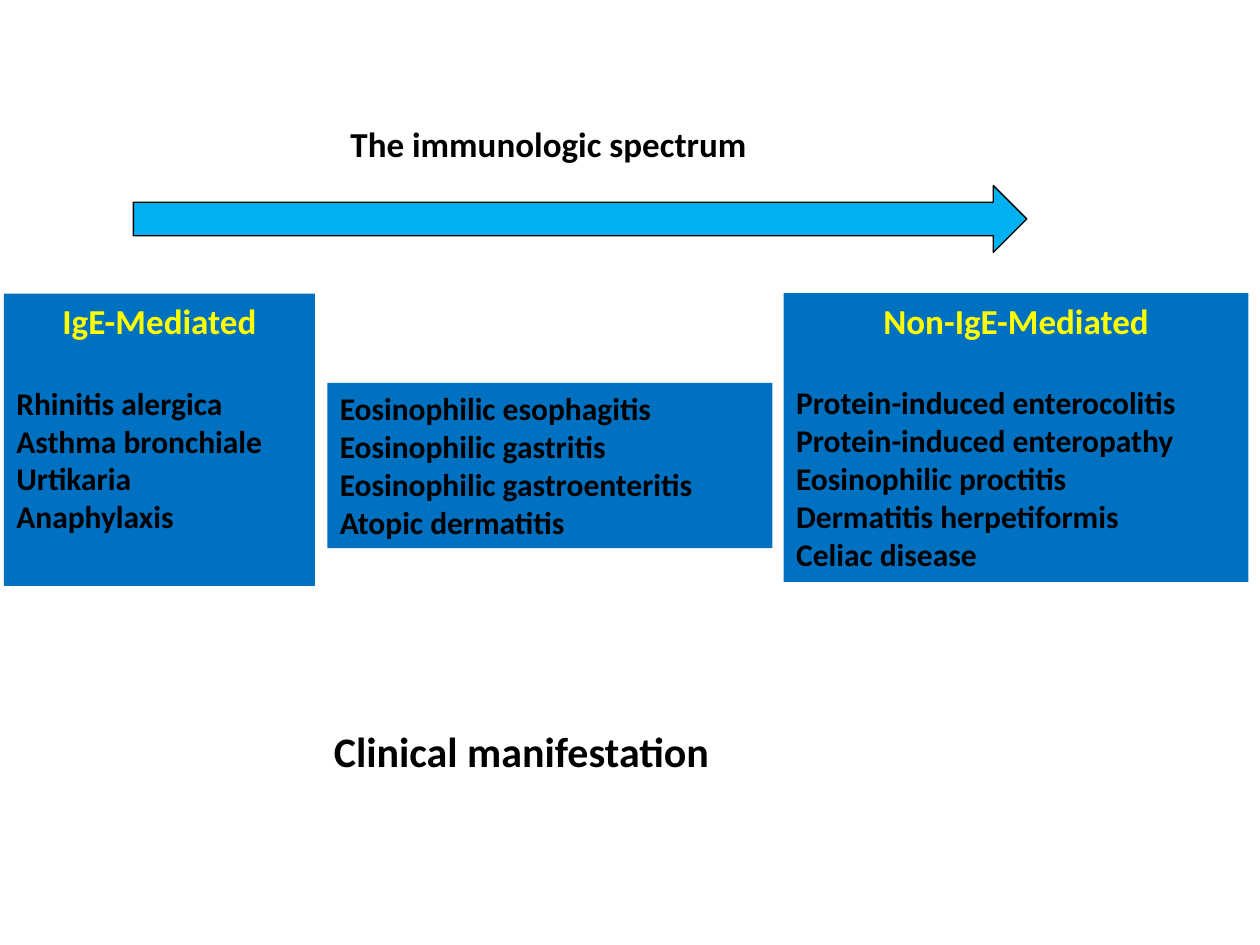
import pptx
import pptx.dml.color
import pptx.enum.shapes
import pptx.enum.text
import pptx.util

Cm = pptx.util.Cm
Pt = pptx.util.Pt
ALIGN = pptx.enum.text.PP_ALIGN
SHAPE = pptx.enum.shapes.MSO_SHAPE

COLORS = {
    "panel": "0070C0",
    "arrow": "00B0F0",
    "heading": "FFFF00",
    "text": "000000",
}


def rgb(name):
    return pptx.dml.color.RGBColor.from_string(COLORS[name])


def add_text(p, text, size, color="text", align=ALIGN.LEFT):
    p.alignment = align
    r = p.add_run()
    r.text = text
    r.font.name = "Calibri"
    r.font.size = Pt(size)
    r.font.bold = True
    r.font.color.rgb = rgb(color)


def prepare_frame(sp):
    tf = sp.text_frame
    tf.word_wrap = True
    tf.auto_size = pptx.enum.text.MSO_AUTO_SIZE.NONE
    tf.vertical_anchor = pptx.enum.text.MSO_ANCHOR.TOP
    return tf


def add_panel(slide, box, items, heading=None):
    sp = slide.shapes.add_shape(SHAPE.RECTANGLE, *map(Cm, box))
    sp.shadow.inherit = False
    sp.fill.solid()
    sp.fill.fore_color.rgb = rgb("panel")
    sp.line.fill.background()
    tf = prepare_frame(sp)
    p = tf.paragraphs[0]
    if heading:
        add_text(p, heading, 20, "heading", ALIGN.CENTER)
        p.space_after = Pt(24)
        p = tf.add_paragraph()
    add_text(p, items[0], 18)
    for item in items[1:]:
        add_text(tf.add_paragraph(), item, 18)


def add_spectrum_arrow(slide, box):
    sp = slide.shapes.add_shape(SHAPE.RIGHT_ARROW, *map(Cm, box))
    sp.shadow.inherit = False
    sp.fill.solid()
    sp.fill.fore_color.rgb = rgb("arrow")
    sp.line.color.rgb = rgb("text")
    sp.line.width = Pt(0.75)


def set_title(slide, box, text):
    sp = slide.shapes.title
    sp.left, sp.top, sp.width, sp.height = map(Cm, box)
    add_text(prepare_frame(sp).paragraphs[0], text, 20)


def add_caption(slide, box, text):
    sp = slide.shapes.add_textbox(*map(Cm, box))
    add_text(prepare_frame(sp).paragraphs[0], text, 24)


def main():
    prs = pptx.Presentation()
    prs.slide_width, prs.slide_height = Cm(25.4), Cm(19.05)
    slide = prs.slides.add_slide(prs.slide_layouts.get_by_name("Title Only"))

    set_title(slide, (6.81, 2.34, 9.8, 1.12), "The immunologic spectrum")
    add_spectrum_arrow(slide, (2.69, 3.74, 18.01, 1.35))
    add_panel(
        slide,
        (0.08, 5.92, 6.27, 5.89),
        ["Rhinitis alergica", "Asthma bronchiale", "Urtikaria", "Anaphylaxis"],
        "IgE-Mediated",
    )
    add_panel(
        slide,
        (6.6, 7.72, 8.97, 3.33),
        [
            "Eosinophilic esophagitis",
            "Eosinophilic gastritis",
            "Eosinophilic gastroenteritis",
            "Atopic dermatitis",
        ],
    )
    add_panel(
        slide,
        (15.8, 5.91, 9.37, 5.82),
        [
            "Protein-induced enterocolitis",
            "Protein-induced enteropathy",
            "Eosinophilic proctitis",
            "Dermatitis herpetiformis",
            "Celiac disease",
        ],
        "Non-IgE-Mediated",
    )
    add_caption(slide, (6.48, 14.5, 9.35, 1.27), "Clinical manifestation")
    prs.save("out.pptx")


if __name__ == "__main__":
    main()
